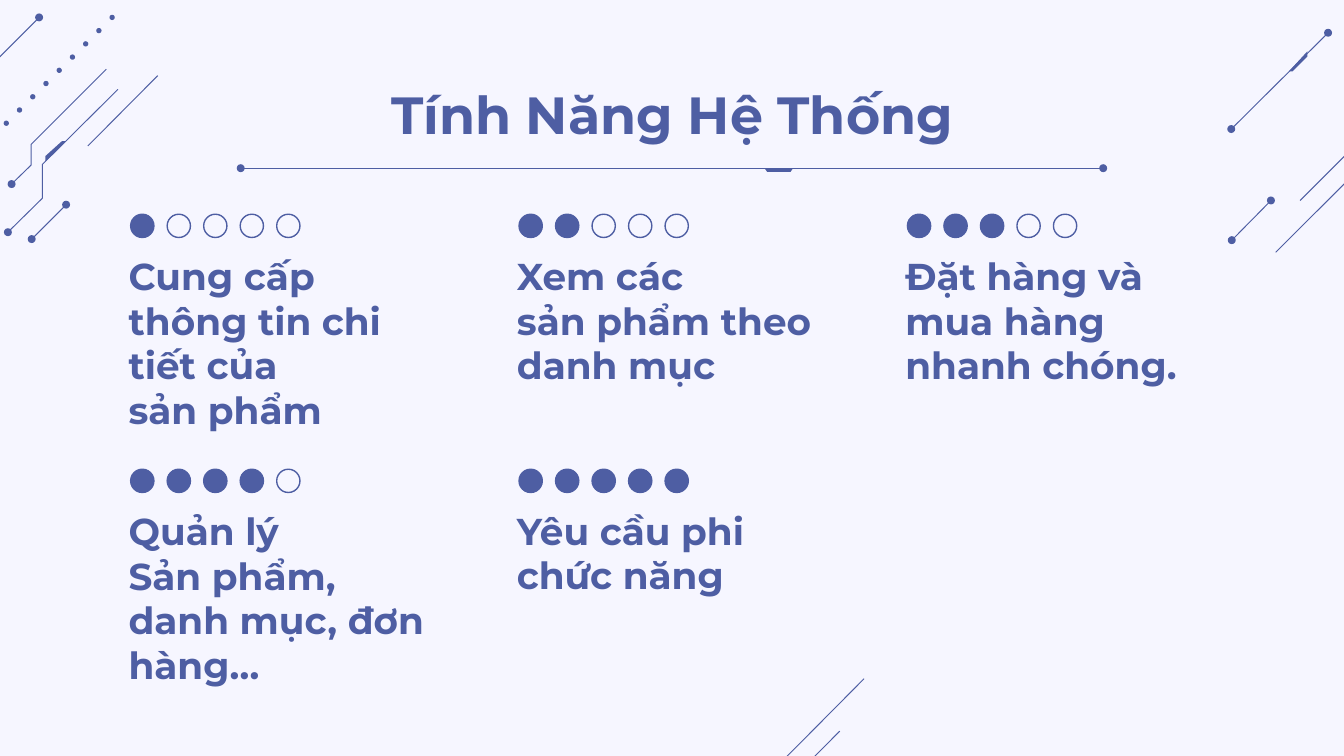
from lxml.etree import SubElement
from pptx import Presentation
from pptx.dml.color import RGBColor
from pptx.enum.shapes import MSO_CONNECTOR, MSO_SHAPE
from pptx.enum.text import MSO_ANCHOR, MSO_AUTO_SIZE, PP_ALIGN
from pptx.oxml.ns import qn
from pptx.util import Cm, Pt

COLOURS = {"ink": "4E5EA3", "paper": "F6F6FF"}
FONT = "Montserrat"


class CircuitSlide:
    """Holds the style and the slide being filled; lengths are centimetres."""

    def __init__(self, slide):
        self.slide = slide
        self.ink = RGBColor.from_string(COLOURS["ink"])
        background = slide.background.fill
        background.solid()
        background.fore_color.rgb = RGBColor.from_string(COLOURS["paper"])

    def text(self, holder, box, paragraphs, size, align=PP_ALIGN.LEFT):
        """Place a text holder and fill it with bold, unbulleted paragraphs."""
        holder.left, holder.top, holder.width, holder.height = map(Cm, box)
        frame = holder.text_frame
        frame.text = "\n".join(paragraphs)
        frame.word_wrap = True
        frame.auto_size = MSO_AUTO_SIZE.NONE
        frame.vertical_anchor = MSO_ANCHOR.TOP
        frame.margin_left = frame.margin_right = Cm(0.25)
        frame.margin_top = frame.margin_bottom = Cm(0)
        for paragraph in frame.paragraphs:
            paragraph.alignment = align
            paragraph.line_spacing = 1.0
            paragraph.space_before = paragraph.space_after = Pt(0)
            properties = paragraph._p.get_or_add_pPr()
            properties.set("marL", "0")
            properties.set("indent", "0")
            SubElement(properties, qn("a:buNone"))
            font = paragraph.font
            font.name, font.size, font.bold = FONT, Pt(size), True
            font.color.rgb = self.ink

    def paint(self, shape, filled=True, outline=None):
        """Give a shape its fill and an outline width in points, or none."""
        shape.shadow.inherit = False
        if filled:
            shape.fill.solid()
            shape.fill.fore_color.rgb = self.ink
        else:
            shape.fill.background()
        if outline:
            shape.line.color.rgb = self.ink
            shape.line.width = Pt(outline)
        else:
            shape.line.fill.background()

    def dot(self, centre, diameter=0.15, filled=True, outline=None):
        """Draw a circle around its centre."""
        left, top = (Cm(value - diameter / 2) for value in centre)
        circle = self.slide.shapes.add_shape(
            MSO_SHAPE.OVAL, left, top, Cm(diameter), Cm(diameter))
        self.paint(circle, filled, outline)

    def line(self, start, end, width=0.5):
        """Draw a straight line."""
        wire = self.slide.shapes.add_connector(
            MSO_CONNECTOR.STRAIGHT, *map(Cm, start + end))
        wire.line.color.rgb = self.ink
        wire.line.width = Pt(width)
        SubElement(wire._element.spPr, qn("a:effectLst"))

    def outline(self, points, closed):
        """Draw a filled polygon, or an open bent line."""
        corners = [(Cm(x), Cm(y)) for x, y in points]
        builder = self.slide.shapes.build_freeform(*corners[0])
        builder.add_line_segments(corners[1:], close=closed)
        self.paint(builder.convert_to_shape(), closed, None if closed else 0.5)

    def rating(self, left, top, score):
        """Draw five circles, the first ones filled."""
        for index in range(5):
            centre = (left + 0.22 + index * 0.69, top + 0.22)
            self.dot(centre, 0.44, index < score, 0.75)


# start, end, points that carry a dot
WIRES = [
    ((26.09, 2.27), (24.57, 3.79), []),
    ((25.62, 3.26), (24.11, 4.77), []),
    ((24.02, 3.79), (23.28, 4.54), [(24.02, 3.79), (23.28, 4.54)]),
    ((16.33, 12.83), (14.82, 14.35), []),
    ((15.87, 13.82), (14.36, 15.34), []),
    ((25.1, 0.62), (23.27, 2.44), [(25.1, 0.62), (23.27, 2.44)]),
    ((0.6, 4.52), (1.25, 3.87), [(0.6, 4.52), (1.25, 3.87)]),
    ((-1.07, 2.14), (0.74, 0.33), [(0.74, 0.33)]),
    ((2.98, 1.43), (1.66, 2.76), []),
]
BENT_WIRES = [
    [(0.15, 4.39), (0.8, 3.75), (0.8, 3.11), (2.23, 1.69)],
    [(0.22, 3.48), (0.59, 3.12), (0.59, 2.73), (2.01, 1.31)],
]
BANDS = [
    [(24.71, 0.97), (24.36, 1.35), (24.43, 1.35), (24.71, 1.07)],
    [(0.86, 3.05), (1.24, 2.67), (1.17, 2.67), (0.86, 2.95)],
    [(14.45, 3.18), (14.99, 3.18), (14.94, 3.25), (14.5, 3.25)],
]
FEATURES = [
    ["Cung cấp thông tin chi tiết của", "sản phẩm"],
    ["Xem các", "sản phẩm theo danh mục"],
    ["Đặt hàng và mua hàng nhanh chóng."],
    ["Quản lý", "Sản phẩm, danh mục, đơn hàng…"],
    ["Yêu cầu phi chức năng"],
]


def add_decoration(page):
    """Draw the circuit lines in the corners and under the title."""
    for start, end, joints in WIRES:
        page.line(start, end)
        for joint in joints:
            page.dot(joint)
    for bends in BENT_WIRES:
        page.outline(bends, closed=False)
        page.dot(bends[0])
    for step in range(9):
        page.dot((0.12 + step * 0.25, 2.33 - step * 0.25), 0.1)
    page.line((4.62, 3.18), (20.78, 3.18), 0.75)
    for rule_end in (4.55, 20.85):
        page.dot((rule_end, 3.18))
    for band in BANDS:
        page.outline(band, closed=True)


def add_features(page, holders):
    """Lay the features out in three columns, each under its rating."""
    for index, (holder, feature) in enumerate(zip(holders, FEATURES)):
        row, column = divmod(index, 3)
        left, top = 2.18 + column * 7.34, 4.78 + row * 4.82
        page.text(holder, (left, top, 6.35, 0.94), feature, 20)
        page.rating(left + 0.29, top - 0.73, index + 1)


def main():
    """Build and save the slide."""
    deck = Presentation()
    deck.slide_width, deck.slide_height = Cm(25.4), Cm(14.29)
    comparison = deck.slide_layouts.get_by_name("Comparison")
    slide = deck.slides.add_slide(comparison)
    page = CircuitSlide(slide)
    title, *holders = slide.placeholders
    holders.append(slide.shapes.add_textbox(0, 0, Cm(1), Cm(1)))
    add_decoration(page)
    page.text(title, (2.18, 1.55, 21.06, 1.6), ["Tính Năng Hệ Thống"], 28,
              PP_ALIGN.CENTER)
    add_features(page, holders)
    deck.save("out.pptx")


main()
